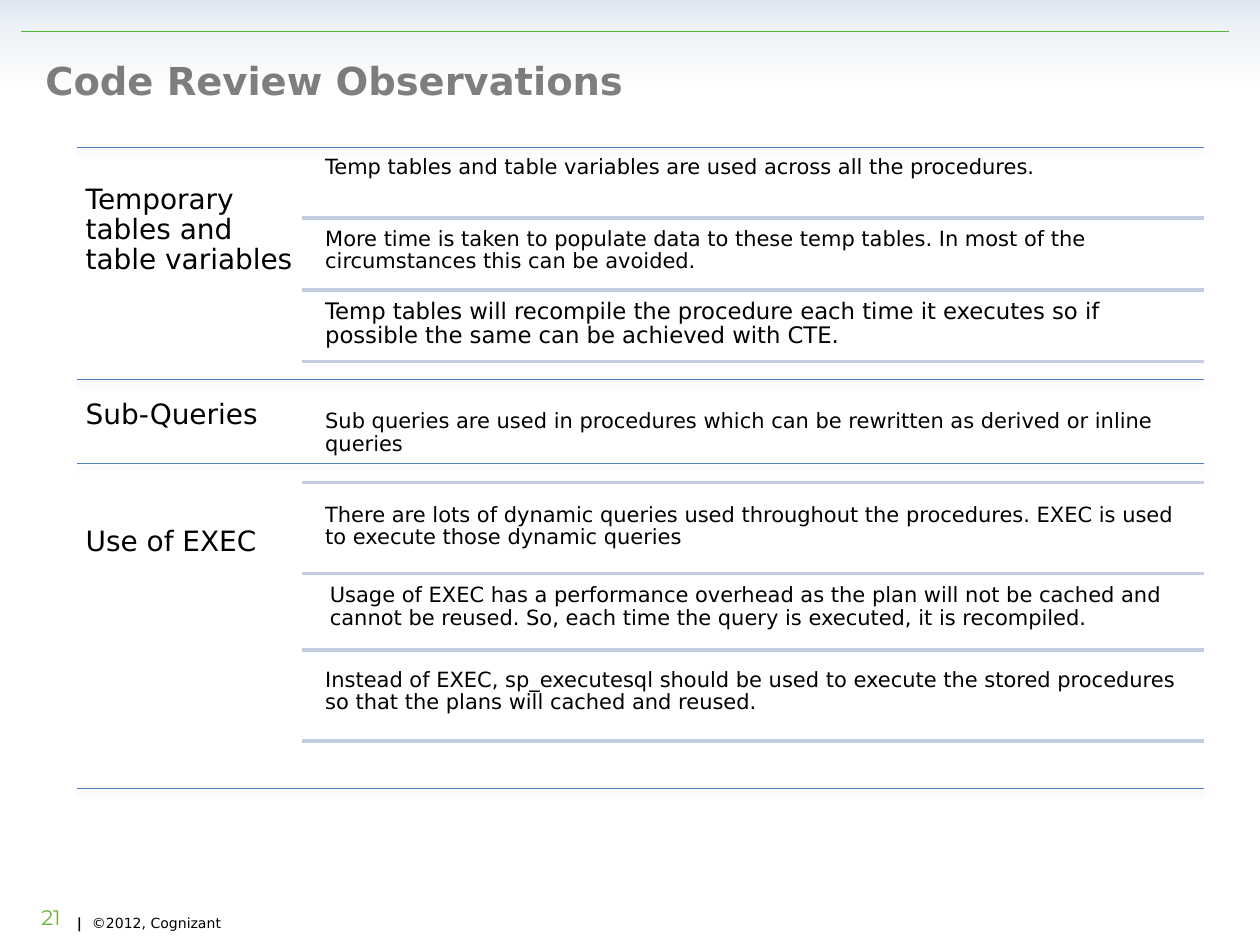
from lxml import etree
from pptx import Presentation
from pptx.dml.color import RGBColor
from pptx.enum.shapes import MSO_CONNECTOR, MSO_SHAPE
from pptx.enum.text import MSO_ANCHOR, PP_ALIGN
from pptx.oxml.ns import qn
from pptx.util import Pt

LINE = MSO_CONNECTOR.STRAIGHT
RECT = MSO_SHAPE.RECTANGLE
TOP, MIDDLE = MSO_ANCHOR.TOP, MSO_ANCHOR.MIDDLE
LEFT, RIGHT = PP_ALIGN.LEFT, PP_ALIGN.RIGHT

BLACK = RGBColor(0x00, 0x00, 0x00)
BLUE = RGBColor(0x4F, 0x81, 0xBD)
PALE = RGBColor(0xC2, 0xCD, 0xE1)
GREEN = RGBColor(0x55, 0xB7, 0x38)
LIME = RGBColor(0x6D, 0xB2, 0x3F)
FADE = [(0, RGBColor(0xB9, 0xCD, 0xE5)), (25, RGBColor(0xDC, 0xE6, 0xF2)),
        (84, RGBColor(0xFF, 0xFF, 0xFF))]
FONT = "DejaVu Sans"

# Box of each section, its label (offset, height), its detail rows
# (offset, height, indent, size, text) and offsets of the pale rules
ROW = 41
SECTIONS = [
    ((44, 84.2, 644.3, 132.5), "Temporary tables and table variables", (16.6, 124.6),
     [(1.5 + ROW * i, 39, 0, size, text) for i, (size, text) in enumerate([
         (12, "Temp tables and table variables are used across all the procedures."),
         (12, "More time is taken to populate data to these temp tables. In most of "
              "the circumstances this can be avoided."),
         (13, "Temp tables will recompile the procedure each time it executes so if "
              "possible the same can be achieved with CTE.")])],
     [40.4 + ROW * i for i in range(3)]),
    ((44, 216.7, 644.3, 48.3), "Sub-Queries", (7.2, 60.5),
     [(14.4, 62, 0, 12, "Sub queries are used in procedures which can be rewritten as "
                        "derived or inline queries")],
     []),
    ((44, 265, 644.3, 185.7), "Use of EXEC", (31.6, 110),
     [(19.4, 41, 0, 12, "There are lots of dynamic queries used throughout the procedures. "
                        "EXEC is used to execute those dynamic queries"),
      (65.5, 45, 2.7, 12, "Usage of EXEC has a performance overhead as the plan will not be "
                          "cached and cannot be reused. So, each time the query is executed, "
                          "it is recompiled."),
      (113.7, 37.5, 0, 12, "Instead of EXEC, sp_executesql should be used to execute the "
                           "stored procedures so that the plans will cached and reused.")],
     [10.8, 62.6, 106.5, 158.4]),
]


def add_rule(slide, left, right, y, color, width, shadow=False):
    rule = slide.shapes.add_connector(LINE, Pt(left), Pt(y), Pt(right), Pt(y))
    rule.line.color.rgb = color
    rule.line.width = Pt(width)
    effects = etree.SubElement(rule._element.spPr, qn("a:effectLst"))
    if shadow:
        outer = etree.SubElement(effects, qn("a:outerShdw"), blurRad=str(Pt(3.1)),
                                 dist=str(Pt(1.8)), dir="5400000", rotWithShape="0")
        tint = etree.SubElement(outer, qn("a:srgbClr"), val=str(BLACK))
        etree.SubElement(tint, qn("a:alpha"), val="35000")


def style(par, size, color=BLACK, bold=False, font=FONT):
    par.font.name = font
    par.font.size = Pt(size)
    par.font.bold = bold
    par.font.color.rgb = color


def add_text(slide, box, text, size, inset, spacing=0.9, color=BLACK, font=FONT):
    frame = slide.shapes.add_textbox(*map(Pt, box)).text_frame
    frame.word_wrap = True
    frame.vertical_anchor = TOP
    frame.margin_left = frame.margin_right = Pt(inset)
    frame.margin_top = frame.margin_bottom = Pt(inset)
    par = frame.paragraphs[0]
    par.text = text
    par.line_spacing = spacing
    style(par, size, color, font=font)
    return frame


def add_header(slide, box):
    left, top, width, height = box
    # Fading band
    band = slide.shapes.add_shape(RECT, *map(Pt, box))
    band.shadow.inherit = False
    band.line.fill.background()
    band.fill.gradient()
    band.fill.gradient_angle = 270
    stops = band._element.spPr.find(".//" + qn("a:gsLst"))
    for stop in list(stops):
        stops.remove(stop)
    for place, color in FADE:
        stop = etree.SubElement(stops, qn("a:gs"), pos=str(place * 1000))
        tint = etree.SubElement(stop, qn("a:srgbClr"), val=str(color))
        etree.SubElement(tint, qn("a:alpha"), val="50000")
    add_rule(slide, left + 12, left + width - 18, top + 18, GREEN, 0.75)

    # Title
    title = slide.shapes.title
    title.left, title.top = Pt(left + 18.7), Pt(top + 28.8)
    title.width, title.height = Pt(678), Pt(34)
    frame = title.text_frame
    frame.text = "Code Review Observations"
    frame.vertical_anchor = MIDDLE
    par = frame.paragraphs[0]
    par.alignment = LEFT
    style(par, 22, bold=True)


def add_section(slide, box, name, label, rows, rules):
    left, top, width, height = box
    right = left + width
    add_rule(slide, left, right, top, BLUE, 0.75, shadow=True)
    offset, tall = label
    add_text(slide, (left, top + offset, 129, tall), name, 16, 5)
    for offset, tall, indent, size, text in rows:
        area = (left + 138.2 + indent, top + offset, 505.4 - 5 * indent, tall)
        add_text(slide, area, text, size, 3.6)
    for offset in rules:
        add_rule(slide, left + 128.8, right, top + offset, PALE, 2)


def add_footer(slide, box):
    left, top, width, height = box
    # Page number
    number = add_text(slide, (left + 5.8, top + 3.6, 36, 36), "21", 12, 3.6, 1.1, LIME,
                      "Montserrat")
    number.margin_left = number.margin_right = Pt(7.2)
    number.paragraphs[0].alignment = RIGHT

    # Copyright line
    frame = add_text(slide, (left + 18, top, width, height), "", 8, 3.6, 2.1)
    frame.margin_left = Pt(26)
    par = frame.paragraphs[0]
    props = par._p.get_or_add_pPr()
    tabs = etree.Element(qn("a:tabLst"))
    etree.SubElement(tabs, qn("a:tab"), pos=str(Pt(8.5)), algn="l")
    props.find(qn("a:defRPr")).addprevious(tabs)
    bar = par.add_run()
    bar.text = "|"
    bar.font.bold = True
    par.add_run().text = "\t©2012, Cognizant"


def main():
    prs = Presentation()
    prs.slide_width, prs.slide_height = Pt(720), Pt(540)
    slide = prs.slides.add_slide(prs.slide_layouts[5])
    add_header(slide, (0, 0, 720, 60))
    for section in SECTIONS:
        add_section(slide, *section)
    # Closing rule
    left, top, width, height = SECTIONS[-1][0]
    add_rule(slide, left, left + width, top + height, BLUE, 0.75, shadow=True)
    add_footer(slide, (0, 508.3, 408, 18))
    prs.save("out.pptx")


if __name__ == "__main__":
    main()
